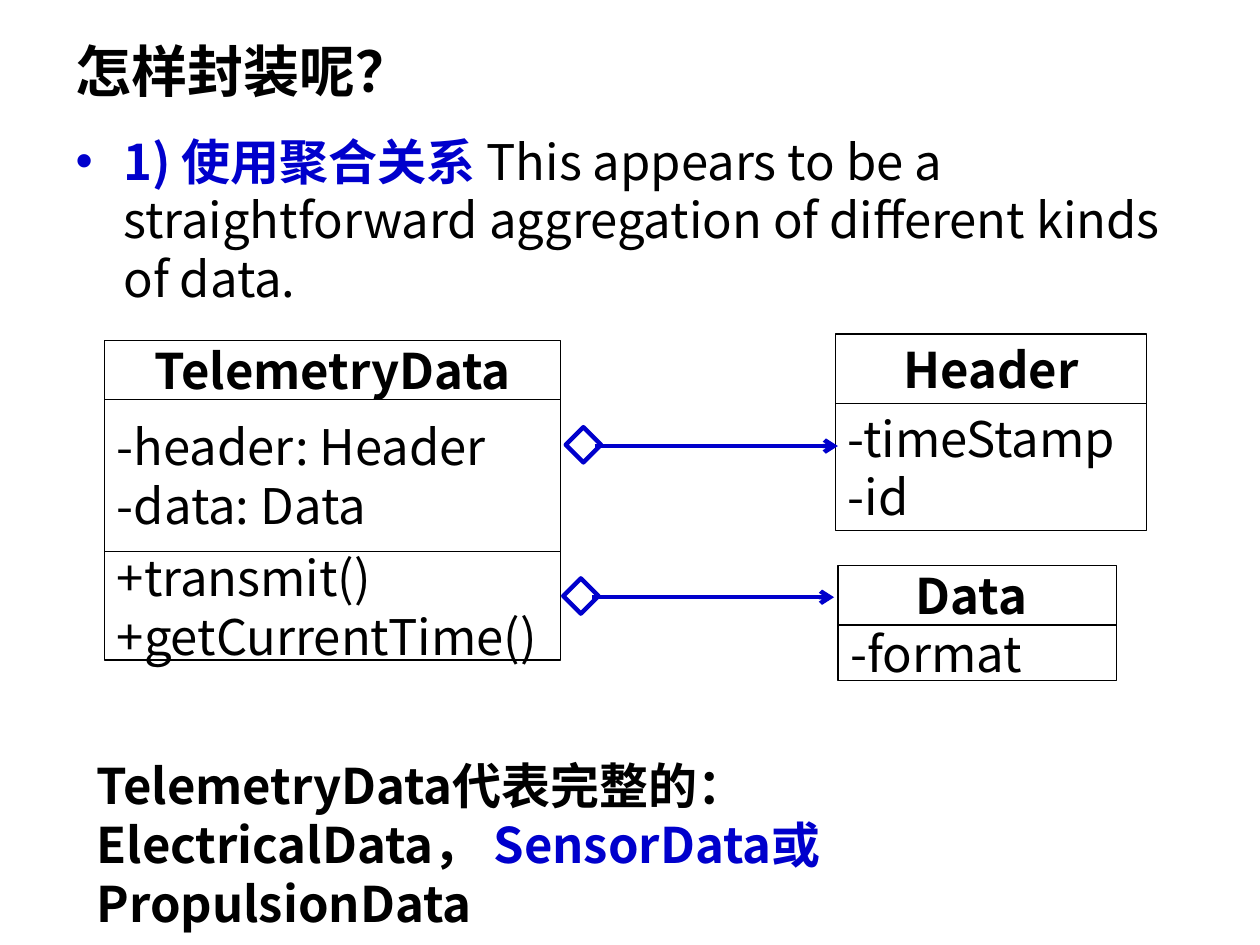
from lxml import etree
from pptx import Presentation
from pptx.dml.color import RGBColor
from pptx.enum import shapes, text
from pptx.oxml import ns
from pptx.util import Inches, Pt

FONT = "Noto Sans CJK SC"
BLACK, BLUE, WHITE = "000000", "0000CC", "FFFFFF"


def colour(value):
    return RGBColor.from_string(value)


def add_xml(parent, tag, **values):
    return etree.SubElement(parent, ns.qn(tag), values)


def format_frame(frame, anchor=text.MSO_ANCHOR.TOP, inset=0.05):
    settings = {
        "word_wrap": True,
        "auto_size": text.MSO_AUTO_SIZE.NONE,
        "vertical_anchor": anchor,
        "margin_left": Inches(0.1),
        "margin_right": Inches(0.1),
        "margin_top": Inches(inset),
        "margin_bottom": Inches(inset),
    }
    for name, value in settings.items():
        setattr(frame, name, value)


def write_para(para, spans, size=28, align=text.PP_ALIGN.LEFT):
    """Fill a paragraph with spans of (words, colour, bold)."""
    para.alignment = align
    para.space_before = Pt(0)
    for words, ink, bold in spans:
        span = para.add_run()
        span.text = words
        for name, value in {"name": FONT, "size": Pt(size), "bold": bold}.items():
            setattr(span.font, name, value)
        span.font.color.rgb = colour(ink)
        add_xml(span.font._element, "a:ea", typeface=FONT)


def place(shape, box):
    for name, value in zip(("left", "top", "width", "height"), box):
        setattr(shape, name, Inches(value))


def add_title(page, box):
    title = page.shapes.title
    place(title, box)
    format_frame(title.text_frame, text.MSO_ANCHOR.MIDDLE)
    write_para(title.text_frame.paragraphs[0], [("怎样封装呢？", BLACK, True)], 32)


def add_body(page, box):
    body = page.placeholders[1]
    place(body, box)
    format_frame(body.text_frame)
    para = body.text_frame.paragraphs[0]
    write_para(para, [
        ("1) 使用聚合关系 ", BLUE, True),
        ("This appears to be a straightforward aggregation of "
         "different kinds of data.", BLACK, False),
    ])
    props = para._p.get_or_add_pPr()
    props.set("marL", str(Inches(0.38)))
    props.set("indent", str(-Inches(0.38)))
    add_xml(add_xml(props, "a:buClr"), "a:srgbClr", val=BLUE)
    add_xml(props, "a:buFont", typeface="Arial")
    add_xml(props, "a:buChar", char="•")


def add_class(page, box, name, sections, inset=0.05):
    """Stack a name row and sections of (height, members) from the box's top."""
    left, top, width, name_height = box
    rows = [(name_height, [name], True)]
    rows += [(height, members, False) for height, members in sections]
    for height, lines, is_name in rows:
        cell = page.shapes.add_shape(
            shapes.MSO_SHAPE.RECTANGLE,
            Inches(left), Inches(top), Inches(width), Inches(height))
        cell.shadow.inherit = False
        cell.fill.background()
        cell.line.color.rgb = colour(BLACK)
        cell.line.width = Pt(0.75)
        frame = cell.text_frame
        format_frame(frame, text.MSO_ANCHOR.MIDDLE, inset)
        align = text.PP_ALIGN.CENTER if is_name else text.PP_ALIGN.LEFT
        for index, line in enumerate(lines):
            para = frame.add_paragraph() if index else frame.paragraphs[0]
            write_para(para, [(line, BLACK, is_name)], align=align)
        top += height


def add_aggregation(page, left, top, end):
    """Draw a diamond with an arrow that runs right to end."""
    size = 0.28
    group = page.shapes.add_group_shape()
    diamond = group.shapes.add_shape(
        shapes.MSO_SHAPE.DIAMOND,
        Inches(left), Inches(top), Inches(size), Inches(size))
    diamond.shadow.inherit = False
    diamond.fill.solid()
    diamond.fill.fore_color.rgb = colour(WHITE)
    middle = Inches(top + size / 2 + 0.01)
    arrow = group.shapes.add_connector(
        shapes.MSO_CONNECTOR.STRAIGHT,
        Inches(left + 0.23), middle, Inches(end), middle)
    for part in (diamond, arrow):
        part.line.color.rgb = colour(BLUE)
        part.line.width = Pt(2.5)
    add_xml(arrow.line._get_or_add_ln(), "a:tailEnd", type="arrow")
    add_xml(arrow._element.spPr, "a:effectLst")


def add_summary(page, box):
    summary = page.shapes.add_textbox(*map(Inches, box))
    format_frame(summary.text_frame)
    write_para(summary.text_frame.paragraphs[0], [
        ("TelemetryData代表完整的：ElectricalData， ", BLACK, True),
        ("SensorData或", BLUE, True),
        ("PropulsionData", BLACK, True),
    ])


def main():
    deck = Presentation()
    deck.slide_width, deck.slide_height = Inches(10), Inches(7.5)
    page = deck.slides.add_slide(deck.slide_layouts[1])
    add_title(page, (0.5, 0.21, 3.08, 0.69))
    add_body(page, (0.5, 0.99, 9, 1.53))
    add_class(page, (0.83, 2.7, 3.62, 0.47), "TelemetryData", [
        (1.21, ["-header: Header", "-data: Data"]),
        (0.86, ["+transmit()", "+getCurrentTime()"]),
    ])
    add_class(page, (6.63, 2.65, 2.47, 0.55), "Header",
              [(1.01, ["-timeStamp", "-id"])], inset=0.04)
    add_class(page, (6.65, 4.49, 2.21, 0.47), "Data ", [(0.44, ["-format"])])
    add_aggregation(page, 4.49, 3.39, 6.65)
    add_aggregation(page, 4.47, 4.59, 6.62)
    add_summary(page, (0.67, 5.95, 8.27, 1.5))
    deck.save("out.pptx")


if __name__ == "__main__":
    main()
